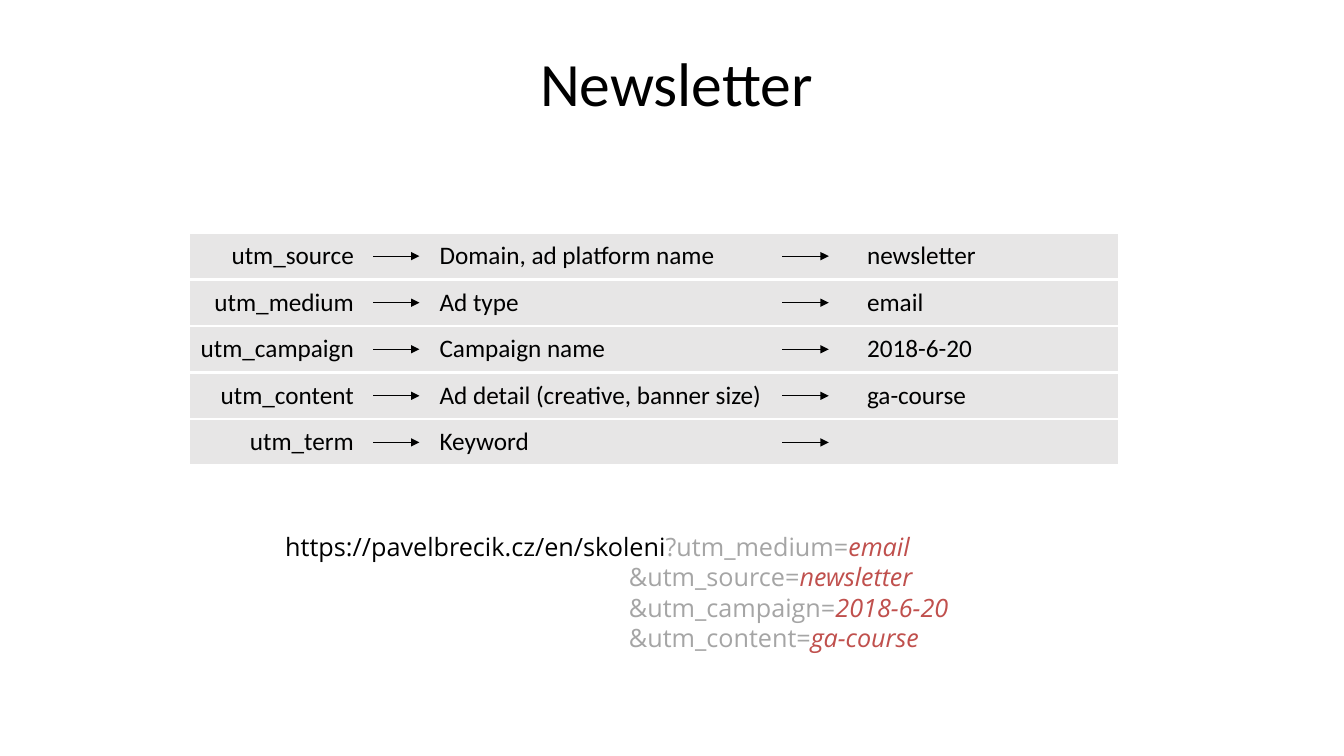
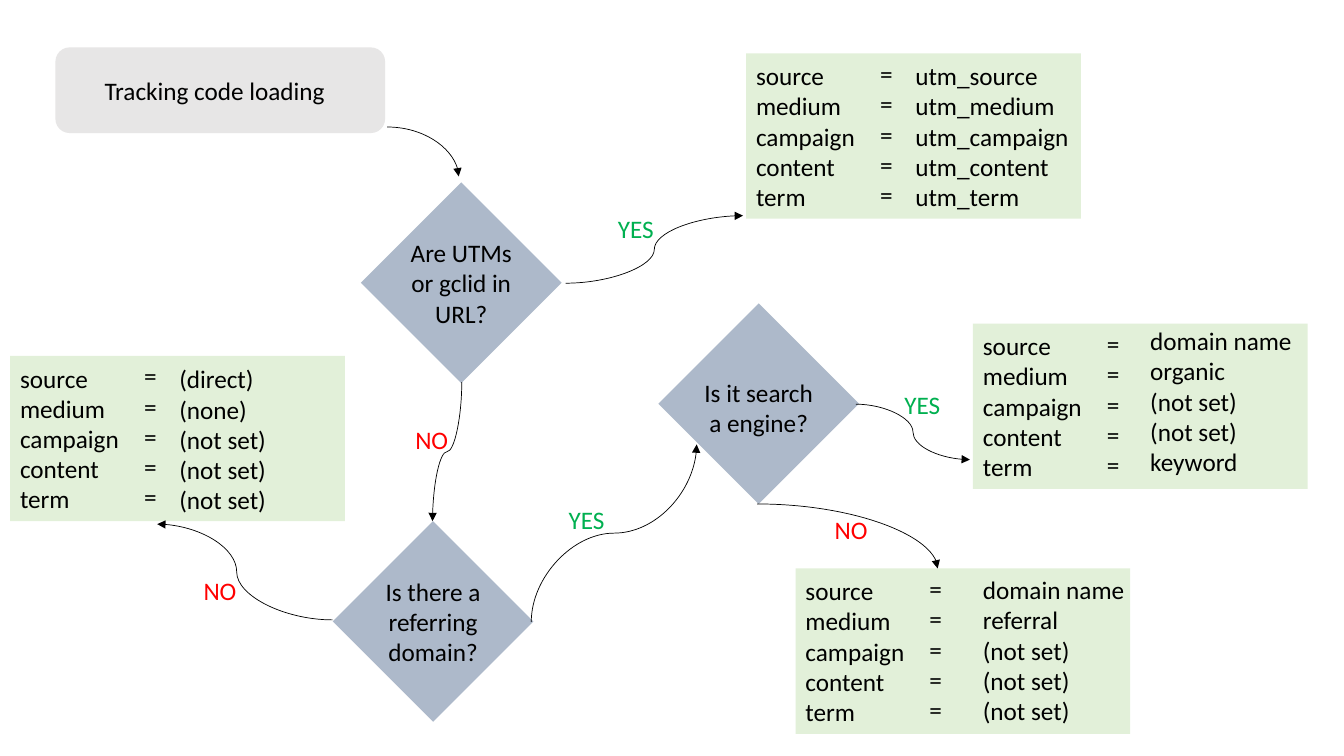
import pptx
import pptx.util
import pptx.dml.color
import pptx.enum.shapes
import pptx.enum.text
import pptx.oxml
import pptx.oxml.ns
from lxml import etree

Inches, Pt = pptx.util.Inches, pptx.util.Pt
SHAPE = pptx.enum.shapes.MSO_SHAPE
CONNECTOR = pptx.enum.shapes.MSO_CONNECTOR
ALIGN = pptx.enum.text.PP_ALIGN
ANCHOR = pptx.enum.text.MSO_ANCHOR
qn = pptx.oxml.ns.qn

COLORS = {
    "text": "000000", "white": "FFFFFF", "grey": "E7E6E6", "muted": "A5A5A5",
    "accent": "C0504D", "decision": "ADB9CA", "result": "E2F0D9",
    "YES": "00B050", "NO": "FF0000",
}
FONT, URL_FONT = "Calibri", "Open Sans"

# Slide 1
UTM_ROWS = [
    ("utm_source", "", "Domain, ad platform name", "newsletter"),
    ("utm_medium", "", "Ad type", "email"),
    ("utm_campaign", "", "Campaign name", "2018-6-20"),
    ("utm_content", "", "Ad detail (creative, banner size)", "ga-course"),
    ("utm_term", "", "Keyword", ""),
]
TABLE_LEFT, TABLE_TOP, TABLE_HEIGHT = 1.88, 2.31, 2.31
COLUMN_WIDTHS = [1.73, 0.65, 4.24, 2.59]
ARROW_LEFTS, ARROW_LENGTH = [3.7, 7.76], 0.46
URL_LINES = [
    [("https://pavelbrecik.cz/en/skoleni", "text"), ("?utm_medium=", "muted"), ("email", "accent")],
    [("&utm_source=", "muted"), ("newsletter", "accent")],
    [("&utm_campaign=", "muted"), ("2018-6-20", "accent")],
    [("&utm_content=", "muted"), ("ga-course", "accent")],
]
URL_INDENT = 3.41

# Slide 2
DECISIONS = [  # left, top, text offset, question
    (3.58, 1.81, 0, "Are UTMs or gclid in URL?"),
    (3.3, 5.17, 0, "Is there a referring domain?"),
    (6.53, 3.01, 0.04, "Is it search a engine?"),
]
DIAMOND_SIZE, QUESTION_WIDTH = 1.99, 1.42
FIELDS = ["source", "medium", "campaign", "content", "term"]
RESULTS = [  # left, top, offset of the values, values
    (7.4, 0.53, (1.58, 0.02),
     ["utm_source", "utm_medium", "utm_campaign", "utm_content", "utm_term"]),
    (0.1, 3.53, (1.58, 0.03),
     ["(direct)", "(none)", "(not set)", "(not set)", "(not set)"]),
    (9.65, 3.21, (1.66, -0.03),
     ["domain name", "organic", "(not set)", "(not set)", "keyword"]),
    (7.89, 5.64, (1.76, 0.01),
     ["domain name", "referral", "(not set)", "(not set)", "(not set)"]),
]
RESULT_WIDTH, RESULT_HEIGHT = 3.32, 1.64
CURVES = [  # begin, end, preset, leaves vertically, bend position
    ((3.84, 1.26), (4.55, 1.75), "curvedConnector2", False, None),
    ((5.61, 2.81), (7.37, 2.14), "curvedConnector3", False, 50000),
    ((4.58, 3.79), (4.29, 5.17), "curvedConnector3", True, 50000),
    ((3.3, 6.15), (1.56, 5.2), "curvedConnector3", False, 54700),
    ((5.27, 6.17), (6.91, 4.41), "curvedConnector3", True, 50000),
    ((8.49, 4.01), (9.62, 4.56), "curvedConnector3", False, 50000),
    ((7.51, 5), (9.3, 5.64), "curvedConnector2", False, None),
]
ANSWERS = [
    ("YES", 6.03, 2.07), ("NO", 4.02, 4.16), ("NO", 1.92, 5.66),
    ("YES", 5.54, 4.95), ("YES", 8.87, 3.81), ("NO", 8.18, 5.05),
]


def rgb(name):
    return pptx.dml.color.RGBColor.from_string(COLORS[name])


def style(paragraph, color="text", size=18, name=FONT, align=ALIGN.LEFT):
    paragraph.alignment = align
    paragraph.font.size = Pt(size)
    paragraph.font.name = name
    paragraph.font.color.rgb = rgb(color)


def add_text(slide, left, top, width, height, lines, color="text", align=ALIGN.LEFT, anchor=ANCHOR.TOP):
    box = slide.shapes.add_textbox(Inches(left), Inches(top), Inches(width), Inches(height))
    frame = box.text_frame
    frame.word_wrap = True
    frame.vertical_anchor = anchor
    frame.text = "\n".join(lines)
    for paragraph in frame.paragraphs:
        style(paragraph, color, align=align)


def add_filled(slide, preset, left, top, width, height, color):
    shape = slide.shapes.add_shape(preset, Inches(left), Inches(top), Inches(width), Inches(height))
    shape.shadow.inherit = False
    shape.fill.solid()
    shape.fill.fore_color.rgb = rgb(color)
    shape.line.fill.background()
    return shape


def add_arrow(slide, kind, begin, end):
    arrow = slide.shapes.add_connector(kind, *(Inches(value) for value in (*begin, *end)))
    arrow.line.width = Pt(0.5)
    arrow.line.color.rgb = rgb("text")
    properties = arrow.element.spPr
    etree.SubElement(properties.find(qn("a:ln")), qn("a:tailEnd"), type="triangle")
    etree.SubElement(properties, qn("a:effectLst"))
    return arrow


def add_curve(slide, begin, end, preset, vertical, bend):
    """Add a curved arrow; one that leaves vertically is laid out flat, then turned by 90 degrees."""
    if vertical:
        middle_x, middle_y = (begin[0] + end[0]) / 2, (begin[1] + end[1]) / 2
        half_x, half_y = (end[1] - begin[1]) / 2, (begin[0] - end[0]) / 2
        begin = middle_x - half_x, middle_y - half_y
        end = middle_x + half_x, middle_y + half_y
    properties = add_arrow(slide, CONNECTOR.CURVE, begin, end).element.spPr
    if vertical:
        properties.find(qn("a:xfrm")).set("rot", str(90 * 60000))
    geometry = properties.find(qn("a:prstGeom"))
    geometry.set("prst", preset)
    if bend:
        guides = geometry.find(qn("a:avLst"))
        etree.SubElement(guides, qn("a:gd"), name="adj1", fmla=f"val {bend}")


def style_cell(cell):
    """Draw white rules above and below the cell, none at its sides, and fill it."""
    properties = cell._tc.get_or_add_tcPr()
    for side in ("lnL", "lnR"):
        etree.SubElement(etree.SubElement(properties, qn(f"a:{side}"), w="0"), qn("a:noFill"))
    for side in ("lnT", "lnB"):
        rule = etree.SubElement(properties, qn(f"a:{side}"), w=str(Pt(2.25)))
        fill = etree.SubElement(rule, qn("a:solidFill"))
        etree.SubElement(fill, qn("a:srgbClr"), val=COLORS["white"])
    cell.fill.solid()
    cell.fill.fore_color.rgb = rgb("grey")
    cell.vertical_anchor = ANCHOR.MIDDLE


def add_title(slide, text):
    title = slide.shapes.title
    title.left, title.top, title.width, title.height = (
        Inches(value) for value in (0.96, 0.13, 11.5, 1.45))
    title.text_frame.text = text
    title.text_frame.vertical_anchor = ANCHOR.MIDDLE
    paragraph = title.text_frame.paragraphs[0]
    paragraph.line_spacing = 0.9
    style(paragraph, size=44, align=ALIGN.CENTER)


def add_utm_table(slide):
    table = slide.shapes.add_table(
        len(UTM_ROWS), len(COLUMN_WIDTHS), Inches(TABLE_LEFT), Inches(TABLE_TOP),
        Inches(sum(COLUMN_WIDTHS)), Inches(TABLE_HEIGHT)).table
    table.first_row = table.horz_banding = False
    for column, width in zip(table.columns, COLUMN_WIDTHS):
        column.width = Inches(width)
    for row, texts in enumerate(UTM_ROWS):
        for column, text in enumerate(texts):
            cell = table.cell(row, column)
            style_cell(cell)
            cell.text = text
            style(cell.text_frame.paragraphs[0], align=ALIGN.LEFT if column else ALIGN.RIGHT)

    row_height = TABLE_HEIGHT / len(UTM_ROWS)
    for left in ARROW_LEFTS:
        for row in range(len(UTM_ROWS)):
            middle = TABLE_TOP + (row + 0.5) * row_height
            add_arrow(slide, CONNECTOR.STRAIGHT, (left, middle), (left + ARROW_LENGTH, middle))


def add_url(slide):
    box = slide.shapes.add_textbox(Inches(2.73), Inches(5.22), Inches(8.35), Inches(1.4))
    frame = box.text_frame
    frame.word_wrap = True
    for number, parts in enumerate(URL_LINES):
        paragraph = frame.add_paragraph() if number else frame.paragraphs[0]
        paragraph.line_spacing = Pt(21.7)
        if number:
            paragraph._p.get_or_add_pPr().set("marL", str(Inches(URL_INDENT)))
        style(paragraph, name=URL_FONT)
        for text, color in parts:
            run = paragraph.add_run()
            run.text = text
            run.font.color.rgb = rgb(color)
            run.font.italic = color == "accent"


def build_newsletter(presentation):
    slide = presentation.slides.add_slide(presentation.slide_layouts[5])
    add_title(slide, "Newsletter")
    add_utm_table(slide)
    add_url(slide)


def build_flowchart(presentation):
    slide = presentation.slides.add_slide(presentation.slide_layouts[6])
    start = add_filled(slide, SHAPE.ROUNDED_RECTANGLE, 0.55, 0.47, 3.27, 0.85, "grey")
    start.text_frame.text = "Tracking code loading"
    start.text_frame.margin_right = Inches(0.21)
    start.text_frame.vertical_anchor = ANCHOR.MIDDLE
    style(start.text_frame.paragraphs[0], align=ALIGN.CENTER)

    for left, top, offset, question in DECISIONS:
        add_filled(slide, SHAPE.DIAMOND, left, top, DIAMOND_SIZE, DIAMOND_SIZE, "decision")
        add_text(slide, left + (DIAMOND_SIZE - QUESTION_WIDTH) / 2, top + offset, QUESTION_WIDTH,
                 DIAMOND_SIZE, [question], align=ALIGN.CENTER, anchor=ANCHOR.MIDDLE)

    for left, top, (value_x, value_y), values in RESULTS:
        add_filled(slide, SHAPE.RECTANGLE, left, top, RESULT_WIDTH, RESULT_HEIGHT, "result")
        for x, y, width, lines in (
            (0, 0.02, 1.19, FIELDS),
            (1.23, 0, 0.35, ["="] * len(FIELDS)),
            (value_x, value_y, 1.87, values),
        ):
            add_text(slide, left + x, top + y, width, 1.62, lines)

    for curve in CURVES:
        add_curve(slide, *curve)
    for answer, left, top in ANSWERS:
        add_text(slide, left, top, 0.59, 0.4, [answer], color=answer)


def main():
    presentation = pptx.Presentation()
    presentation.slide_width, presentation.slide_height = Inches(13.33), Inches(7.5)
    build_newsletter(presentation)
    build_flowchart(presentation)
    presentation.save("out.pptx")


if __name__ == "__main__":
    main()
